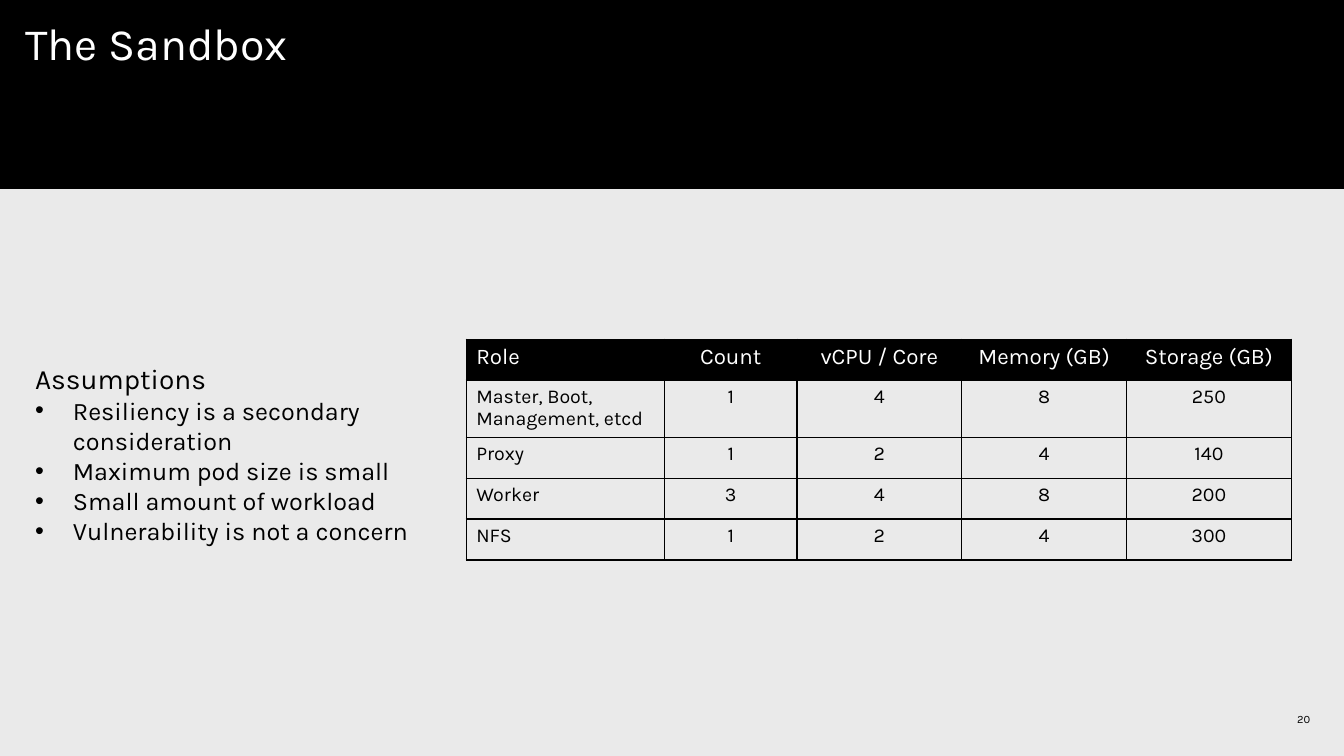
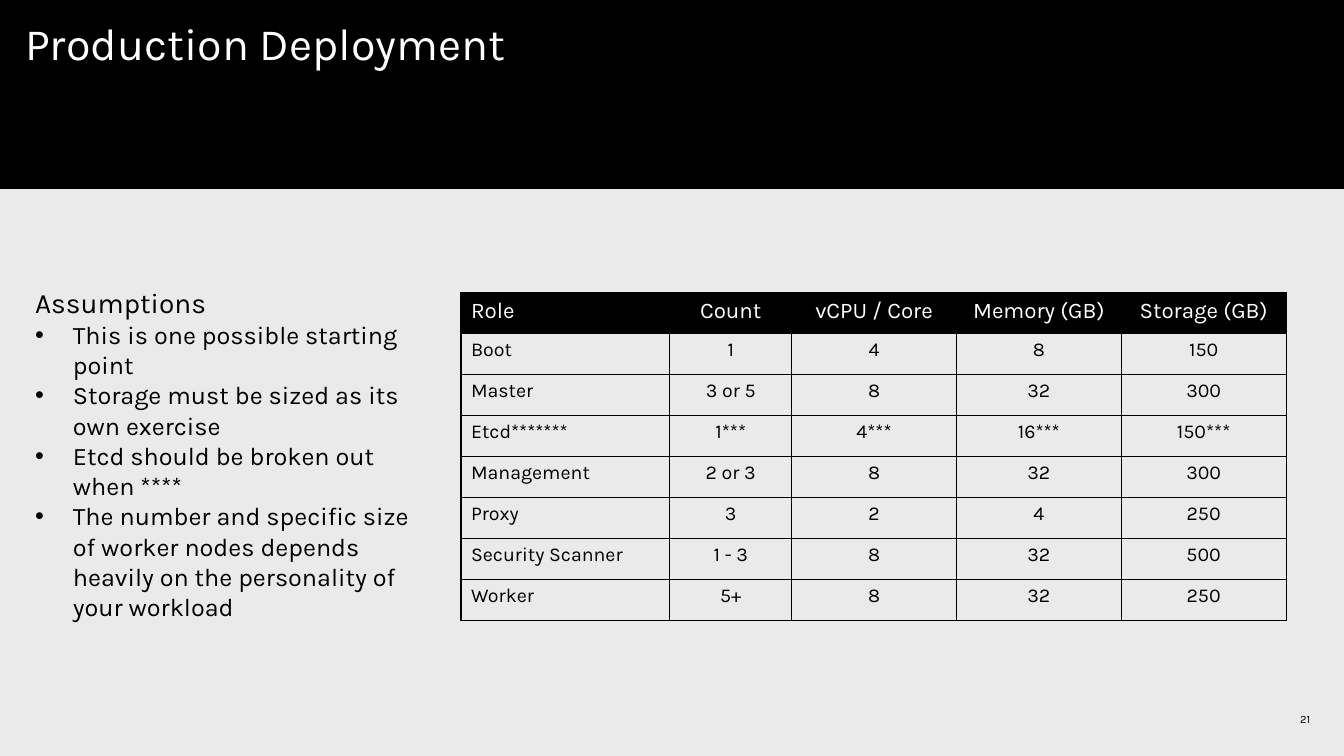
from dataclasses import dataclass

from lxml import etree
from pptx import Presentation
from pptx.dml.color import RGBColor
from pptx.enum.shapes import MSO_SHAPE
from pptx.enum.text import MSO_ANCHOR, PP_ALIGN
from pptx.oxml.ns import qn
from pptx.util import Emu, Pt

RECT = MSO_SHAPE.RECTANGLE
TOP, MIDDLE = MSO_ANCHOR.TOP, MSO_ANCHOR.MIDDLE
LEFT, CENTER, RIGHT = PP_ALIGN.LEFT, PP_ALIGN.CENTER, PP_ALIGN.RIGHT


@dataclass(frozen=True)
class Theme:
    font: str = "Karla"
    black: RGBColor = RGBColor(0x00, 0x00, 0x00)
    white: RGBColor = RGBColor(0xFF, 0xFF, 0xFF)
    paper: RGBColor = RGBColor(0xEA, 0xEA, 0xEA)
    title: int = 32
    heading: int = 20
    bullet: int = 18
    table_head: int = 16
    table_body: int = 14
    number: int = 8
    border: int = 1


@dataclass(frozen=True)
class Box:
    x: int
    y: int
    w: int
    h: int


@dataclass(frozen=True)
class SizingSlide:
    number: int
    title: str
    assumptions: tuple[str, ...]
    table_x: int
    table_y: int
    role_w: int
    count_w: int
    rows: tuple[tuple[str, ...], ...]


THEME = Theme()
SLIDE_W, SLIDE_H = 1280, 720
BAND = Box(0, 0, SLIDE_W, 180)
ASSUMPTIONS = Box(24, 248, 385, 368)
NUMBER = Box(960, 675, 288, 19)
ROW_H, SPEC_W = 39, 157
BULLET_INDENT = 36
HEADER = ("Role", "Count", "vCPU / Core", "Memory (GB)", "Storage (GB)")

SLIDES = (
    SizingSlide(
        20, "The Sandbox",
        ("Resiliency is a secondary consideration",
         "Maximum pod size is small",
         "Small amount of workload",
         "Vulnerability is not a concern"),
        444, 323, 189, 126,
        (("Master, Boot, Management, etcd", "1", "4", "8", "250"),
         ("Proxy", "1", "2", "4", "140"),
         ("Worker", "3", "4", "8", "200"),
         ("NFS", "1", "2", "4", "300")),
    ),
    SizingSlide(
        21, "Production Deployment",
        ("This is one possible starting point",
         "Storage must be sized as its own exercise",
         "Etcd should be broken out when ****",
         "The number and specific size of worker nodes depends heavily "
         "on the personality of your workload"),
        439, 279, 199, 116,
        (("Boot", "1", "4", "8", "150"),
         ("Master", "3 or 5", "8", "32", "300"),
         ("Etcd*******", "1***", "4***", "16***", "150***"),
         ("Management", "2 or 3", "8", "32", "300"),
         ("Proxy", "3", "2", "4", "250"),
         ("Security Scanner", "1 - 3", "8", "32", "500"),
         ("Worker", "5+", "8", "32", "250")),
    ),
)


def px(n: int) -> Emu:
    """Turn pixels (96 to the inch) into EMU."""
    return Emu(n * 9525)


def place(box: Box) -> tuple[Emu, ...]:
    return px(box.x), px(box.y), px(box.w), px(box.h)


def set_margins(tf, left: int, top: int, right: int, bottom: int) -> None:
    tf.margin_left, tf.margin_top = px(left), px(top)
    tf.margin_right, tf.margin_bottom = px(right), px(bottom)


def add_run(p, text: str, size: int, color: RGBColor, align=LEFT) -> None:
    p.alignment = align
    r = p.add_run()
    r.text = text
    r.font.name = THEME.font
    r.font.size = Pt(size)
    r.font.color.rgb = color


def add_bullet(p) -> None:
    pPr = p._p.get_or_add_pPr()
    pPr.set("marL", str(px(BULLET_INDENT)))
    pPr.set("indent", str(-px(BULLET_INDENT)))
    etree.SubElement(pPr, qn("a:buFont"), typeface="Arial")
    etree.SubElement(pPr, qn("a:buChar"), char="•")


def add_text_box(s, box: Box):
    tf = s.shapes.add_textbox(*place(box)).text_frame
    tf.word_wrap = True
    tf.vertical_anchor = MIDDLE
    return tf


def set_borders(cell) -> None:
    tcPr = cell._tc.get_or_add_tcPr()
    for i, side in enumerate(("a:lnL", "a:lnR", "a:lnT", "a:lnB")):
        ln = etree.Element(qn(side), w=str(Pt(THEME.border)))
        fill = etree.SubElement(ln, qn("a:solidFill"))
        etree.SubElement(fill, qn("a:srgbClr"), val=str(THEME.black))
        tcPr.insert(i, ln)


# Parts of a slide
def add_title_band(s, title: str) -> None:
    sp = s.shapes.add_shape(RECT, *place(BAND))
    sp.shadow.inherit = False
    sp.fill.solid()
    sp.fill.fore_color.rgb = THEME.black
    sp.line.fill.background()
    tf = sp.text_frame
    tf.word_wrap = True
    tf.vertical_anchor = TOP
    set_margins(tf, 24, 21, 24, 24)
    p = tf.paragraphs[0]
    p.line_spacing = 0.9
    add_run(p, title, THEME.title, THEME.white)


def add_slide_number(s, number: int) -> None:
    tf = add_text_box(s, NUMBER)
    set_margins(tf, 0, 0, 0, 0)
    add_run(tf.paragraphs[0], str(number), THEME.number, THEME.black, RIGHT)


def add_assumptions(s, items: tuple[str, ...]) -> None:
    tf = add_text_box(s, ASSUMPTIONS)
    add_run(tf.paragraphs[0], "Assumptions", THEME.heading, THEME.black)
    for item in items:
        p = tf.add_paragraph()
        add_bullet(p)
        add_run(p, item, THEME.bullet, THEME.black)


def add_sizing_table(s, data: SizingSlide) -> None:
    rows = (HEADER, *data.rows)
    widths = (data.role_w, data.count_w, SPEC_W, SPEC_W, SPEC_W)
    box = Box(data.table_x, data.table_y, sum(widths), ROW_H * len(rows))
    table = s.shapes.add_table(len(rows), len(widths), *place(box)).table
    table.first_row = table.horz_banding = False
    for col, width in zip(table.columns, widths):
        col.width = px(width)
    for i, row in enumerate(rows):
        table.rows[i].height = px(ROW_H)
        is_head = i == 0
        size = THEME.table_head if is_head else THEME.table_body
        color = THEME.white if is_head else THEME.black
        for j, text in enumerate(row):
            cell = table.cell(i, j)
            if is_head:
                cell.fill.solid()
                cell.fill.fore_color.rgb = THEME.black
            else:
                cell.fill.background()
            set_borders(cell)
            add_run(cell.text_frame.paragraphs[0], text, size, color,
                    CENTER if j else LEFT)


# Whole slides
def add_sizing_slide(prs, data: SizingSlide) -> None:
    s = prs.slides.add_slide(prs.slide_layouts[6])
    s.background.fill.solid()
    s.background.fill.fore_color.rgb = THEME.paper
    add_slide_number(s, data.number)
    add_title_band(s, data.title)
    add_assumptions(s, data.assumptions)
    add_sizing_table(s, data)


def main() -> None:
    prs = Presentation()
    prs.slide_width, prs.slide_height = px(SLIDE_W), px(SLIDE_H)
    for data in SLIDES:
        add_sizing_slide(prs, data)
    prs.save("out.pptx")


if __name__ == "__main__":
    main()
